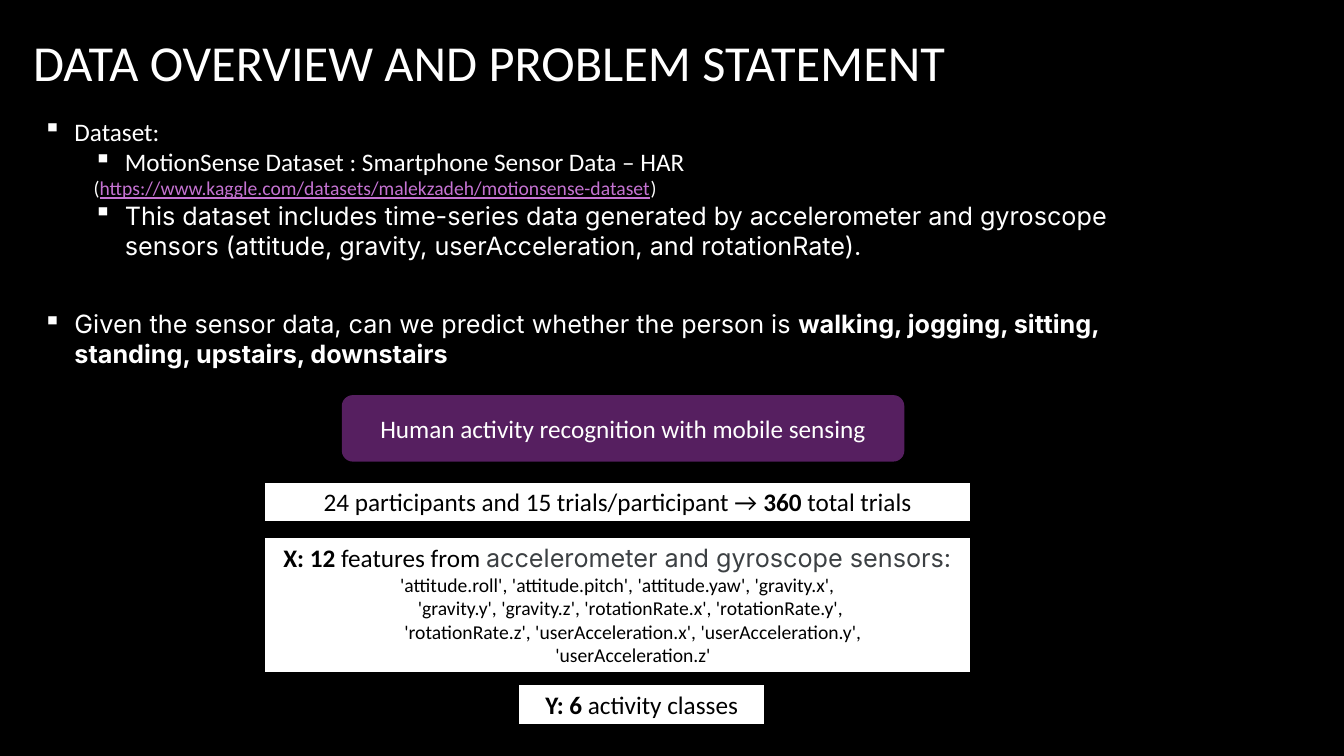
from dataclasses import dataclass

from lxml import etree
from pptx import Presentation
from pptx.dml.color import RGBColor
from pptx.enum.shapes import MSO_SHAPE
from pptx.enum.text import MSO_ANCHOR, PP_ALIGN
from pptx.oxml.ns import qn
from pptx.util import Inches, Pt

RECT, ROUNDED = MSO_SHAPE.RECTANGLE, MSO_SHAPE.ROUNDED_RECTANGLE
TOP, MIDDLE = MSO_ANCHOR.TOP, MSO_ANCHOR.MIDDLE
LEFT, CENTER = PP_ALIGN.LEFT, PP_ALIGN.CENTER

BLACK = RGBColor(0x00, 0x00, 0x00)
WHITE = RGBColor(0xFF, 0xFF, 0xFF)
PURPLE = RGBColor(0xAC, 0x3E, 0xC1)
LINK = RGBColor(0xC5, 0x73, 0xD2)
GRAY = RGBColor(0x3C, 0x40, 0x43)

SANS, INTER = "Calibri", "Inter"
GRID = 100
BULLET_HANG = 0.31

prs = Presentation()
prs.slide_width, prs.slide_height = Inches(13.33), Inches(7.5)


@dataclass(frozen=True)
class Run:
    text: str
    size: int = 18
    name: str = SANS
    color: RGBColor | None = None
    bold: bool = False
    underline: bool = False


@dataclass(frozen=True)
class Para:
    runs: tuple[Run, ...]
    indent: float = 0
    bullet: str = ""
    before: int = 0


@dataclass(frozen=True)
class Box:
    col: float
    row: float
    cols: float
    rows: float
    paras: tuple[Para, ...]
    shape: MSO_SHAPE | None = None
    fill: RGBColor | None = None
    opacity: int = 100
    border: float = 0
    color: RGBColor = WHITE
    anchor: MSO_ANCHOR = TOP
    align: PP_ALIGN = CENTER


def across(n: float) -> int:
    return round(prs.slide_width * n / GRID)


def down(n: float) -> int:
    return round(prs.slide_height * n / GRID)


def style_shape(sp, box: Box) -> None:
    sp.shadow.inherit = False
    sp.fill.solid()
    sp.fill.fore_color.rgb = box.fill
    if box.opacity < 100:
        clr = sp.fill._xPr.find(f".//{qn('a:srgbClr')}")
        etree.SubElement(clr, qn("a:alpha"), val=str(box.opacity * 1000))
    if box.border:
        sp.line.color.rgb = BLACK
        sp.line.width = Pt(box.border)
    else:
        sp.line.fill.background()


def write_para(p, para: Para, box: Box) -> None:
    pPr = p._p.get_or_add_pPr()
    pPr.set("marL", str(Inches(para.indent)))
    pPr.set("indent", str(-Inches(BULLET_HANG) if para.bullet else 0))
    if para.bullet:
        etree.SubElement(pPr, qn("a:buChar"), char=para.bullet)
    p.alignment = box.align
    p.space_before = Pt(para.before)
    for run in para.runs:
        r = p.add_run()
        r.text = run.text
        r.font.color.rgb = run.color or box.color
        formats = {"name": run.name, "size": Pt(run.size),
                   "bold": run.bold, "underline": run.underline}
        for key, value in formats.items():
            setattr(r.font, key, value)


def draw_box(s, box: Box) -> None:
    area = across(box.col), down(box.row), across(box.cols), down(box.rows)
    if box.shape is None:
        sp = s.shapes.add_textbox(*area)
    else:
        sp = s.shapes.add_shape(box.shape, *area)
        style_shape(sp, box)
    tf = sp.text_frame
    tf.word_wrap = True
    tf.vertical_anchor = box.anchor
    for i, para in enumerate(box.paras):
        p = tf.add_paragraph() if i else tf.paragraphs[0]
        write_para(p, para, box)


def card(col: float, row: float, cols: float, rows: float, *paras: Para) -> Box:
    return Box(col, row, cols, rows, paras, RECT, WHITE, border=1.5, color=BLACK)


def item(*runs: Run, indent: float = BULLET_HANG, before: int = 0) -> Para:
    return Para(runs, indent, "▪", before)


TITLE = Box(1.73, -2.67, 81.25, 21.6,
            (Para((Run("DATA OVERVIEW AND PROBLEM STATEMENT", 36),)),),
            anchor=MIDDLE, align=LEFT)

OVERVIEW = Box(2.48, 14.67, 82.22, 39.07, (
    item(Run("Dataset:")),
    item(Run("MotionSense Dataset : Smartphone Sensor Data – HAR"), indent=0.81),
    Para((
        Run("(", 14),
        Run("https://www.kaggle.com/datasets/malekzadeh/motionsense-dataset",
            14, color=LINK, underline=True),
        Run(")", 14),
    ), 0.5),
    item(Run("This dataset includes time-series data generated by accelerometer "
             "and gyroscope sensors (attitude, gravity, userAcceleration, and "
             "rotationRate).", name=INTER), indent=0.81),
    item(Run("Given the sensor data, can we predict whether the person is ",
             name=INTER),
         Run("walking, jogging, sitting, standing, upstairs, downstairs",
             name=INTER, bold=True), before=34),
), align=LEFT)

TOPIC = Box(25.43, 52.27, 41.86, 8.8,
            (Para((Run("Human activity recognition with mobile sensing"),)),),
            ROUNDED, PURPLE, opacity=50, anchor=MIDDLE)

FEATURES = (
    ("'attitude.roll', 'attitude.pitch', 'attitude.yaw', 'gravity.x',", 0),
    ("'gravity.y', 'gravity.z', 'rotationRate.x', 'rotationRate.y',", 0.26),
    ("'rotationRate.z', 'userAcceleration.x', 'userAcceleration.y',", 0.31),
    ("'userAcceleration.z'", 0.31),
)

CARDS = (
    card(19.65, 63.73, 52.59, 5.33, Para((
        Run("24 participants and 15 trials/participant → "),
        Run("360", bold=True),
        Run(" total trials"),
    ))),
    card(19.65, 71.07, 52.59, 18, Para((
        Run("X: 12", bold=True),
        Run(" features from "),
        Run("accelerometer and gyroscope sensors:", name=INTER, color=GRAY),
    )), *(Para((Run(text, 14),), indent) for text, indent in FEATURES)),
    card(38.56, 90.53, 18.38, 5.33, Para((
        Run("Y: 6", bold=True),
        Run(" activity classes"),
    ))),
)


def main() -> None:
    s = prs.slides.add_slide(prs.slide_layouts[6])
    s.background.fill.solid()
    s.background.fill.fore_color.rgb = BLACK
    for box in (OVERVIEW, TITLE, TOPIC, *CARDS):
        draw_box(s, box)
    prs.save("out.pptx")


if __name__ == "__main__":
    main()
